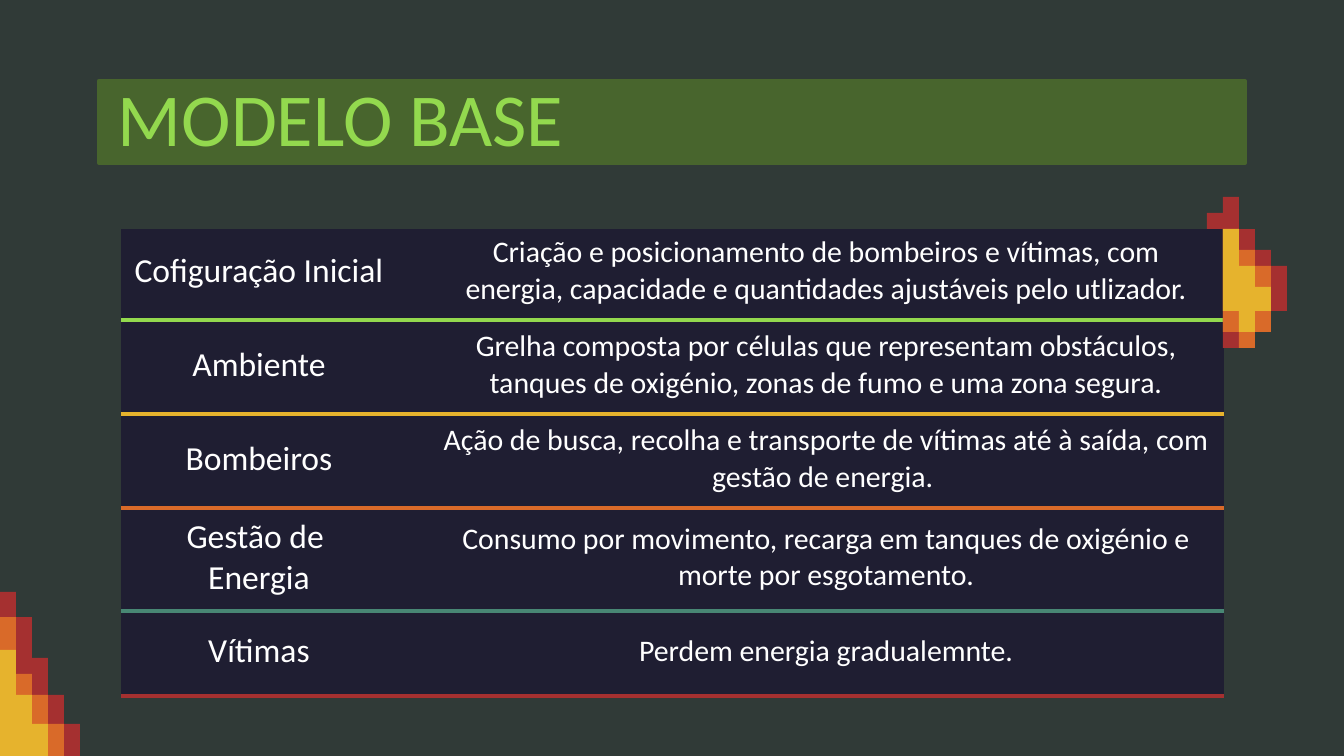
import dataclasses
import typing

import lxml.etree
import pptx
import pptx.dml.color
import pptx.enum.shapes
import pptx.enum.text
import pptx.oxml.ns
import pptx.util

SCALE = 9144000 / 1344
STEP = 16


@dataclasses.dataclass(frozen=True)
class Theme:
    back: str = "303A37"
    panel: str = "1F1E32"
    band: str = "48652D"
    lime: str = "93D94E"
    gold: str = "E6B32D"
    amber: str = "D96A29"
    teal: str = "488774"
    red: str = "A53030"
    white: str = "FFFFFF"
    font: str = "Calibri"
    head: int = 40
    label: int = 18
    body: int = 16
    rule: float = 2.25


@dataclasses.dataclass(frozen=True)
class Bar:
    col: int
    top: int
    base: int
    hue: str


@dataclasses.dataclass(frozen=True)
class Row:
    label: list[str]
    body: str
    hue: str


LOOK = Theme()
FLOOR = 756

CORNER = [
    Bar(col, top, FLOOR, hue)
    for hue, tops in (
        (LOOK.red, (592, 617, 658, 695, 724)),
        (LOOK.amber, (617, 674, 695, 724)),
        (LOOK.gold, (650, 695, 724)),
    )
    for col, top in enumerate(tops)
]

FLAME = [
    Bar(0, 213, 229, LOOK.red),
    Bar(1, 197, 348, LOOK.red),
    Bar(2, 229, 348, LOOK.red),
    Bar(3, 250, 332, LOOK.red),
    Bar(4, 266, 311, LOOK.red),
    Bar(1, 229, 332, LOOK.amber),
    Bar(2, 250, 348, LOOK.amber),
    Bar(3, 266, 332, LOOK.amber),
    Bar(1, 229, 311, LOOK.gold),
    Bar(2, 266, 332, LOOK.gold),
    Bar(3, 287, 311, LOOK.gold),
]

ROWS = [
    Row(["Cofiguração Inicial"],
        "Criação e posicionamento de bombeiros e vítimas, com energia, "
        "capacidade e quantidades ajustáveis pelo utlizador.", LOOK.lime),
    Row(["Ambiente"],
        "Grelha composta por células que representam obstáculos, "
        "tanques de oxigénio, zonas de fumo e uma zona segura.", LOOK.gold),
    Row(["Bombeiros"],
        "Ação de busca, recolha e transporte de vítimas até à saída, "
        "com gestão de energia. ", LOOK.amber),
    Row(["Gestão de ", "Energia"],
        "Consumo por movimento, recarga em tanques de oxigénio e "
        "morte por esgotamento.", LOOK.teal),
    Row(["Vítimas"], "Perdem energia gradualemnte.", LOOK.red),
]


def px(size: int) -> pptx.util.Emu:
    return pptx.util.Emu(round(size * SCALE))


def paint(fill: typing.Any, hue: str) -> None:
    fill.solid()
    fill.fore_color.rgb = pptx.dml.color.RGBColor.from_string(hue)


def write(frame: typing.Any, lines: list[str], size: int, hue: str, align: typing.Any) -> None:
    for num, line in enumerate(lines):
        para = frame.add_paragraph() if num else frame.paragraphs[0]
        para.alignment = align
        run = para.add_run()
        run.text = line
        run.font.name = LOOK.font
        run.font.size = pptx.util.Pt(size)
        paint(run.font.fill, hue)


def inset(box: typing.Any, side: int, top: int, base: int) -> None:
    box.margin_left = box.margin_right = px(side)
    box.margin_top, box.margin_bottom = px(top), px(base)
    box.vertical_anchor = pptx.enum.text.MSO_ANCHOR.MIDDLE


def draw_fire(slide: typing.Any, left: int, bars: list[Bar]) -> None:
    group = slide.shapes.add_group_shape()
    for bar in bars:
        block = group.shapes.add_shape(
            pptx.enum.shapes.MSO_SHAPE.RECTANGLE,
            px(left + bar.col * STEP), px(bar.top), px(STEP), px(bar.base - bar.top))
        block.shadow.inherit = False
        block.line.fill.background()
        paint(block.fill, bar.hue)


def edge(cell: typing.Any, tag: str, hue: str | None) -> None:
    name = pptx.oxml.ns.qn
    line = lxml.etree.SubElement(cell._tc.get_or_add_tcPr(), name("a:" + tag))
    if hue is None:
        lxml.etree.SubElement(line, name("a:noFill"))
        return
    line.set("w", str(pptx.util.Pt(LOOK.rule)))
    solid = lxml.etree.SubElement(line, name("a:solidFill"))
    lxml.etree.SubElement(solid, name("a:srgbClr")).set("val", hue)


def draw_grid(slide: typing.Any, rows: list[Row]) -> None:
    wides = (276, 31, 796)
    high = 85
    grid = slide.shapes.add_table(
        len(rows), len(wides), px(121), px(229), px(sum(wides)), px(high * len(rows))).table
    grid.first_row = grid.horz_banding = False
    for col, wide in zip(grid.columns, wides):
        col.width = px(wide)
    above = None
    for num, row in enumerate(rows):
        grid.rows[num].height = px(high)
        for col in range(len(wides)):
            cell = grid.cell(num, col)
            for tag, hue in (("lnL", None), ("lnR", None), ("lnT", above), ("lnB", row.hue)):
                edge(cell, tag, hue)
            paint(cell.fill, LOOK.panel)
            inset(cell, 13, 8 if num else 5, 13)
        mid = pptx.enum.text.PP_ALIGN.CENTER
        write(grid.cell(num, 0).text_frame, row.label, LOOK.label, LOOK.white, mid)
        write(grid.cell(num, 2).text_frame, [row.body], LOOK.body, LOOK.white, mid)
        above = row.hue


def draw_title(slide: typing.Any, text: str) -> None:
    title = slide.shapes.title
    title.left, title.top, title.width, title.height = px(99), px(81), px(1146), px(82)
    paint(title.fill, LOOK.band)
    paint(title.line.fill, LOOK.band)
    title.line.width = pptx.util.Pt(LOOK.rule)
    frame = title.text_frame
    frame.word_wrap = True
    frame.auto_size = pptx.enum.text.MSO_AUTO_SIZE.NONE
    inset(frame, 19, 3, 13)
    write(frame, [text], LOOK.head, LOOK.lime, pptx.enum.text.PP_ALIGN.LEFT)


def main() -> None:
    deck = pptx.Presentation()
    deck.slide_width, deck.slide_height = px(1344), px(FLOOR)
    slide = deck.slides.add_slide(deck.slide_layouts[5])
    paint(slide.background.fill, LOOK.back)
    draw_fire(slide, 0, CORNER)
    draw_grid(slide, ROWS)
    draw_fire(slide, 1207, FLAME)
    draw_title(slide, "MODELO BASE")
    deck.save("out.pptx")


if __name__ == "__main__":
    main()
